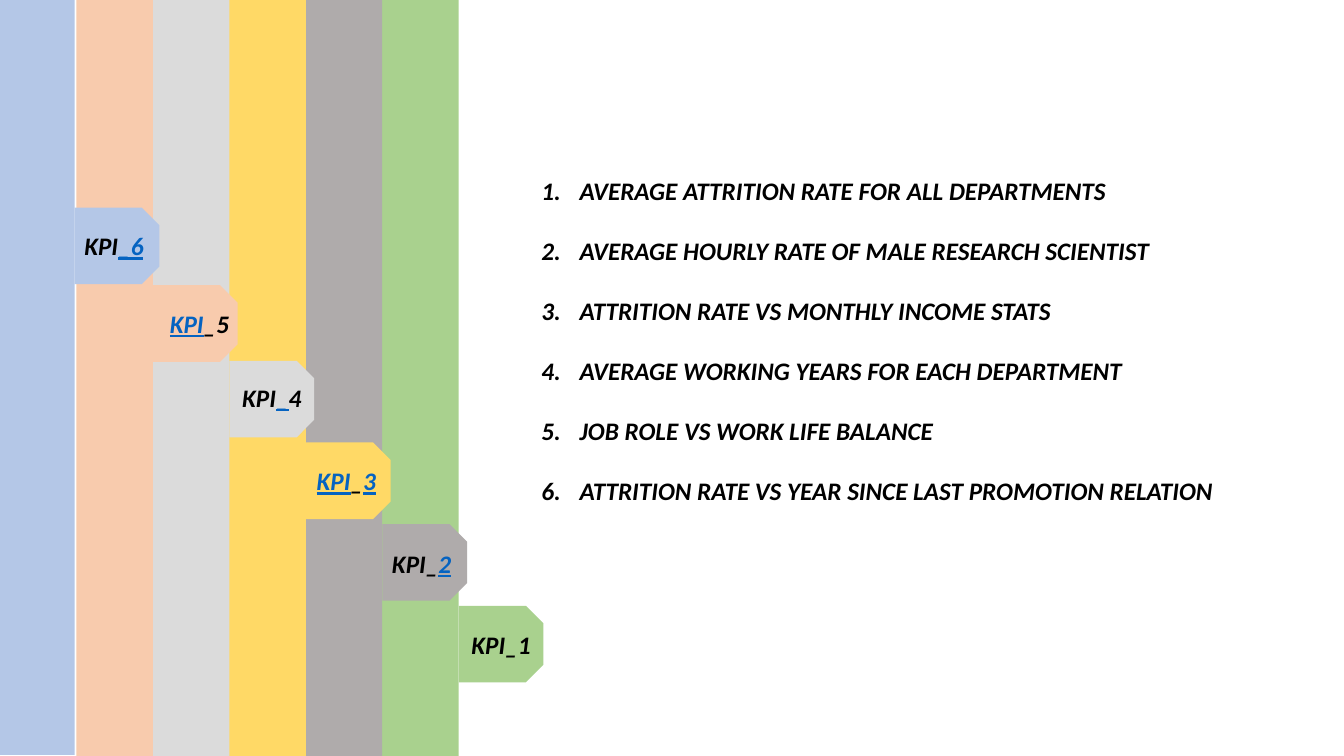
from dataclasses import dataclass

from lxml import etree
from pptx import Presentation
from pptx.dml.color import RGBColor
from pptx.enum.shapes import MSO_SHAPE
from pptx.enum.text import PP_ALIGN
from pptx.oxml.ns import qn
from pptx.util import Inches, Pt

RECT = MSO_SHAPE.RECTANGLE
SNIPPED = MSO_SHAPE.SNIP_2_SAME_RECTANGLE
LEFT, CENTER = PP_ALIGN.LEFT, PP_ALIGN.CENTER


@dataclass(frozen=True)
class Theme:
    font: str = "Calibri"
    size: float = 18
    item_gap: float = 21.2
    text: str = "000000"
    link: str = "0563C1"


THEME = Theme()

# Left to right: colour, stripe offset, tab middle, label offset, label runs.
# A run is (text, shown as a link).
STRIPES = [
    ("B4C7E7", (-0.02, -0.01), 2.44, (-0.03, 0), [("KPI", False), ("_6", True)]),
    ("F8CBAD", (0, 0), 3.21, (0.04, 0), [("KPI", True), ("_5", False)]),
    ("DBDBDB", (0, 0), 3.96, (0, -0.02),
     [("KPI", False), ("_", True), ("4", False)]),
    ("FFD966", (0, 0), 4.77, (-0.02, 0),
     [("KPI", True), ("_", False), ("3", True)]),
    ("AFABAB", (0, 0), 5.58, (-0.03, 0.01), [("KPI_", False), ("2", True)]),
    ("A9D18E", (0, 0), 6.39, (0, 0), [("KPI_1", False)]),
]

KPIS = [
    "AVERAGE ATTRITION RATE FOR ALL DEPARTMENTS",
    "AVERAGE HOURLY RATE OF MALE RESEARCH SCIENTIST",
    "ATTRITION RATE VS MONTHLY INCOME STATS",
    "AVERAGE WORKING YEARS FOR EACH DEPARTMENT",
    "JOB ROLE VS WORK LIFE BALANCE",
    "ATTRITION RATE VS YEAR SINCE LAST PROMOTION RELATION",
]

SLIDE_W, SLIDE_H = 13.33, 7.5
STRIPE_W = 0.76
PITCH = 3.79 / 5
TAB_W, TAB_H = 0.84, 0.76
LABEL_H = 0.4
SNIP = 0.23
INDENT = 0.38


def add_block(shapes, kind, box, color):
    sp = shapes.add_shape(kind, *map(Inches, box))
    sp.shadow.inherit = False
    sp.fill.solid()
    sp.fill.fore_color.rgb = RGBColor.from_string(color)
    sp.line.fill.background()
    return sp


def number_paragraph(p):
    """Give a paragraph an automatic number with a hanging indent."""
    pPr = p._p.get_or_add_pPr()
    pPr.set("marL", str(Inches(INDENT)))
    pPr.set("indent", str(-Inches(INDENT)))
    font = etree.SubElement(pPr, qn("a:buFont"))
    font.set("typeface", "+mj-lt")
    etree.SubElement(pPr, qn("a:buAutoNum")).set("type", "arabicPeriod")


def add_text(shapes, box, paragraphs, align=LEFT, gap=0, numbered=False):
    """Add a text box; each paragraph is a list of (text, linked) runs."""
    tf = shapes.add_textbox(*map(Inches, box)).text_frame
    tf.word_wrap = True
    for i, runs in enumerate(paragraphs):
        p = tf.add_paragraph() if i else tf.paragraphs[0]
        p.alignment = align
        if i and gap:
            p.space_before = Pt(gap)
        if numbered:
            number_paragraph(p)
        for text, linked in runs:
            r = p.add_run()
            r.text = text
            r.font.name = THEME.font
            r.font.size = Pt(THEME.size)
            r.font.bold = r.font.italic = True
            r.font.underline = linked
            color = THEME.link if linked else THEME.text
            r.font.color.rgb = RGBColor.from_string(color)


def add_stripe(slide, index, color, offset, middle, nudge, label):
    shapes = slide.shapes.add_group_shape().shapes
    left = index * PITCH + offset[0]
    add_block(shapes, RECT, (left, offset[1], STRIPE_W, SLIDE_H), color)

    # The tab is turned a quarter, so its box is laid out upright.
    tab_left = left + STRIPE_W
    tab_box = (tab_left + (TAB_W - TAB_H) / 2, middle - TAB_W / 2, TAB_H, TAB_W)
    tab = add_block(shapes, SNIPPED, tab_box, color)
    tab.rotation = 90
    tab.adjustments[0] = SNIP
    tab.adjustments[1] = 0

    label_box = (tab_left + nudge[0], middle - LABEL_H / 2 + nudge[1],
                 TAB_W, LABEL_H)
    add_text(shapes, label_box, [label], align=CENTER)


def main():
    prs = Presentation()
    prs.slide_width, prs.slide_height = Inches(SLIDE_W), Inches(SLIDE_H)
    slide = prs.slides.add_slide(prs.slide_layouts[6])
    for index, stripe in reversed(list(enumerate(STRIPES))):
        add_stripe(slide, index, *stripe)
    add_text(slide.shapes, (5.27, 1.69, 7.21, 4.04),
             [[(kpi, False)] for kpi in KPIS],
             gap=THEME.item_gap, numbered=True)
    prs.save("out.pptx")


if __name__ == "__main__":
    main()
